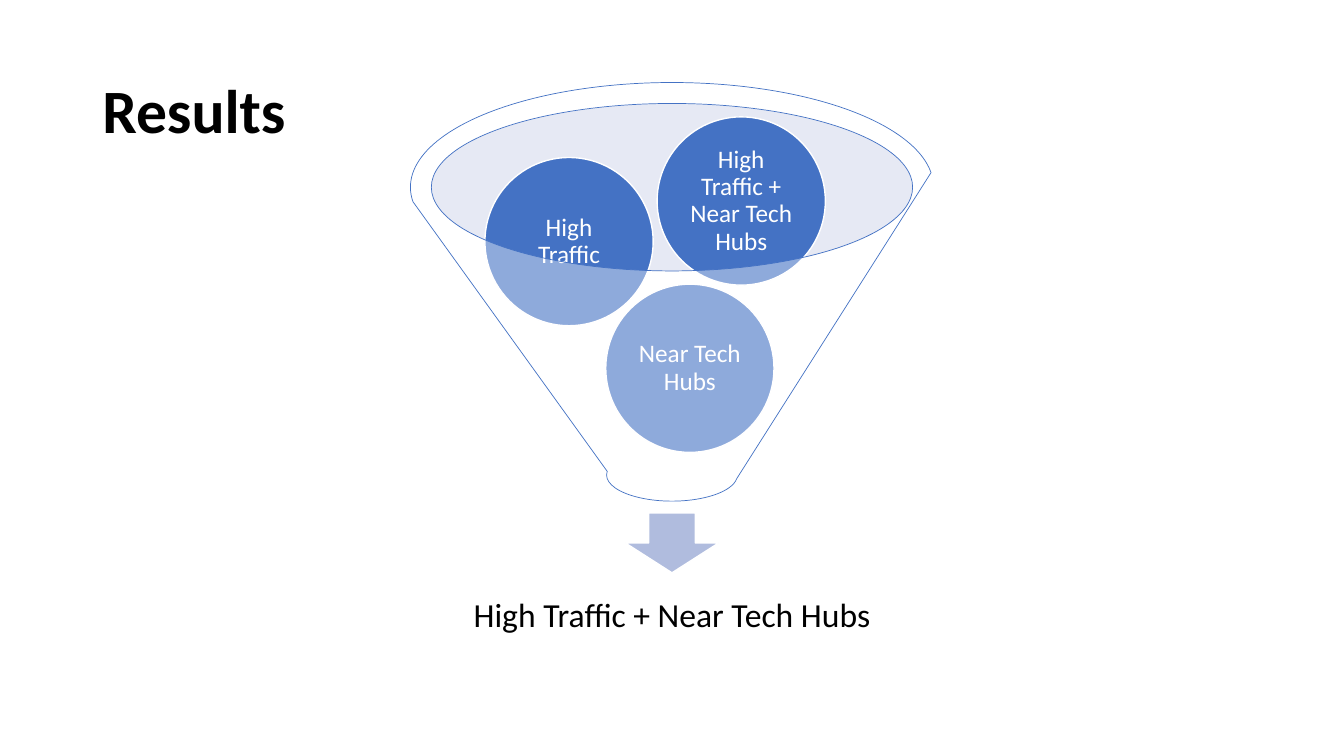
import pptx
import pptx.util
import pptx.dml.color
import pptx.enum.shapes
import pptx.enum.text
import lxml.etree

Pt = pptx.util.Pt
SHAPE = pptx.enum.shapes.MSO_SHAPE
ALIGN = pptx.enum.text.PP_ALIGN

COLORS = {"black": "000000", "white": "FFFFFF", "blue": "4472C4",
          "mouth": "C1C9E4", "arrow": "B0BCDE"}
FONT = "Calibri"
SLIDE_W, SLIDE_H = 960, 540
CENTER = SLIDE_W / 2

TITLE = "Results"
OUTCOME = "High Traffic + Near Tech Hubs"
BALL_SIZE = 120.2
BALLS = [  # text, left, top
    ("Near Tech Hubs", 432.7, 203),
    ("High Traffic", 346.4, 112.5),
    ("High Traffic + Near Tech Hubs", 469.4, 83.5),
]


def rgb(name):
    return pptx.dml.color.RGBColor.from_string(COLORS[name])


def centered(top, width, height):
    """Box centred across the slide."""
    return CENTER - width / 2, top, width, height


def add_shape(slide, kind, box, fill, line=None, line_width=1, opacity=None):
    sp = slide.shapes.add_shape(kind, *map(Pt, box))
    sp.shadow.inherit = False
    sp.fill.solid()
    sp.fill.fore_color.rgb = rgb(fill)
    if opacity is not None:
        color = sp.fill._xPr.find(".//" + pptx.oxml.ns.qn("a:srgbClr"))
        alpha = lxml.etree.SubElement(color, pptx.oxml.ns.qn("a:alpha"))
        alpha.set("val", str(opacity * 1000))
    if line:
        sp.line.color.rgb = rgb(line)
        sp.line.width = Pt(line_width)
    else:
        sp.line.fill.background()
    return sp


def write(sp, text, size, color, inset, align=ALIGN.CENTER, bold=False):
    tf = sp.text_frame
    tf.word_wrap = True
    tf.vertical_anchor = pptx.enum.text.MSO_ANCHOR.MIDDLE
    tf.margin_left = tf.margin_right = Pt(inset)
    tf.margin_top = tf.margin_bottom = Pt(inset)
    p = tf.paragraphs[0]
    p.alignment = align
    p.line_spacing = 0.9
    r = p.add_run()
    r.text = text
    r.font.name = FONT
    r.font.size = Pt(size)
    r.font.bold = bold
    r.font.color.rgb = rgb(color)


def main():
    prs = pptx.Presentation()
    prs.slide_width, prs.slide_height = Pt(SLIDE_W), Pt(SLIDE_H)
    slide = prs.slides.add_slide(prs.slide_layouts[6])

    title = slide.shapes.add_textbox(*map(Pt, centered(28.8, 828, 104.4)))
    write(title, TITLE, 44, "black", 7.2, ALIGN.LEFT, True)

    add_shape(slide, SHAPE.OVAL, centered(74.2, 344.2, 119.5), "mouth", opacity=40)
    add_shape(slide, SHAPE.DOWN_ARROW, centered(366.5, 66.7, 42.7), "arrow", "white")
    outcome = slide.shapes.add_textbox(*map(Pt, centered(400.3, 320, 80)))
    write(outcome, OUTCOME, 24, "black", 13.7)

    for text, left, top in BALLS:
        ball = add_shape(slide, SHAPE.OVAL, (left, top, BALL_SIZE, BALL_SIZE),
                         "blue", "white")
        write(ball, text, 18, "white", 2)

    add_shape(slide, SHAPE.FUNNEL, centered(59, 373.7, 299), "white", "blue", 0.5, 40)
    prs.save("out.pptx")


if __name__ == "__main__":
    main()
